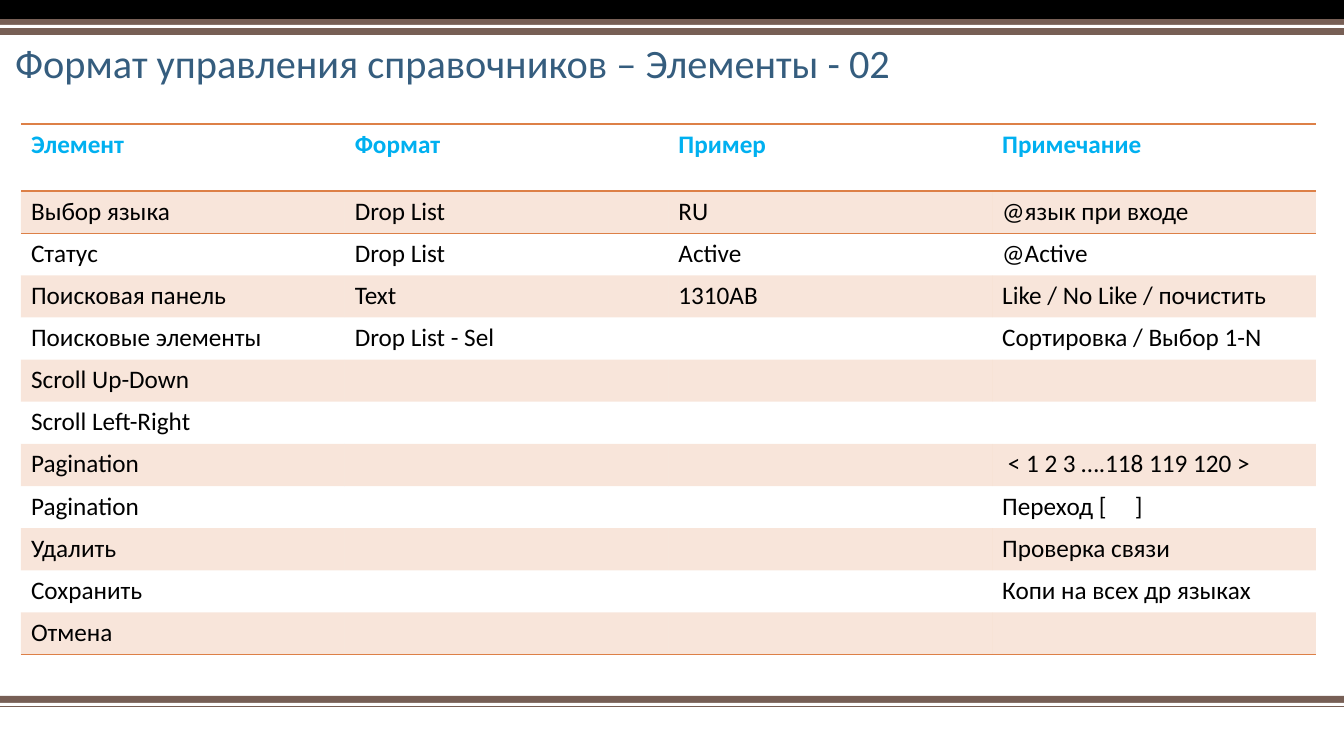
from dataclasses import dataclass
from lxml.etree import SubElement
from pptx import Presentation
from pptx.dml.color import RGBColor
from pptx.enum.shapes import MSO_SHAPE
from pptx.enum.text import MSO_ANCHOR, MSO_AUTO_SIZE, PP_ALIGN
from pptx.oxml import parse_xml
from pptx.oxml.ns import nsdecls, qn
from pptx.util import Pt

SCALE = 914400 / 100.8
WIDE, HIGH = 1344, 756


@dataclass(frozen=True)
class Theme:
    font: str = "Calibri"
    title: str = "355D7E"
    head: str = "00B0F0"
    text: str = "000000"
    accent: str = "DD8047"
    brown: str = "775F55"
    black: str = "000000"
    white: str = "FFFFFF"
    title_size: float = 28.8
    cell_size: float = 18
    tint: int = 20
    plain: str = "{2D5ABB26-0587-4C30-8999-92F81FD0307C}"


THEME = Theme()

ROWS = [
    ("Элемент", "Формат", "Пример", "Примечание"),
    ("Выбор языка", "Drop List", "RU", "@язык при входе"),
    ("Статус", "Drop List", "Active", "@Active"),
    ("Поисковая панель", "Text", "1310AB", "Like / No Like / почистить"),
    ("Поисковые элементы", "Drop List - Sel", "", "Сортировка / Выбор 1-N"),
    ("Scroll Up-Down", "", "", ""),
    ("Scroll Left-Right", "", "", ""),
    ("Pagination", "", "", " < 1 2 3 ….118 119 120 >"),
    ("Pagination", "", "", "Переход [     ]"),
    ("Удалить", "", "", "Проверка связи"),
    ("Сохранить", "", "", "Копи на всех др языках"),
    ("Отмена", "", "", ""),
]


def px(size):
    return round(size * SCALE)


def style(para, size, color, bold=False):
    font = para.font
    font.name, font.size, font.bold = THEME.font, Pt(size), bold
    font.color.rgb = RGBColor.from_string(color)


def add_bands(slide, box, bands):
    """Stack full-width stripes, each given as offset, height and colour."""
    left, top, width = box
    for down, height, color in bands:
        band = slide.shapes.add_shape(
            MSO_SHAPE.RECTANGLE, px(left), px(top + down), px(width), px(height))
        band.shadow.inherit = False
        band.fill.solid()
        band.fill.fore_color.rgb = RGBColor.from_string(color)
        band.line.fill.background()


def add_title(slide, box, text):
    title = slide.shapes.title
    title.left, title.top, title.width, title.height = map(px, box)
    frame = title.text_frame
    frame.text = text
    frame.word_wrap = True
    frame.auto_size = MSO_AUTO_SIZE.NONE
    frame.vertical_anchor = MSO_ANCHOR.BOTTOM
    para = frame.paragraphs[0]
    para.alignment = PP_ALIGN.LEFT
    para.line_spacing = 0.9
    style(para, THEME.title_size, THEME.title)


def add_rule(cell, side):
    """Draw one cell border; borders come before the fill."""
    line = parse_xml(
        f'<a:{side} {nsdecls("a")} w="{Pt(1)}"><a:solidFill>'
        f'<a:srgbClr val="{THEME.accent}"/></a:solidFill></a:{side}>')
    cell._tc.get_or_add_tcPr().insert(0, line)


def tint_cell(cell):
    cell.fill.solid()
    cell.fill.fore_color.rgb = RGBColor.from_string(THEME.accent)
    color = cell._tc.tcPr.find(".//" + qn("a:srgbClr"))
    SubElement(color, qn("a:alpha"), val=str(THEME.tint * 1000))


def add_grid(slide, box, head, rows):
    left, top, width, height = box
    table = slide.shapes.add_table(
        len(rows), len(rows[0]), px(left), px(top), px(width), px(height)).table
    table.first_row = table.horz_banding = False
    table._tbl.tblPr.find(qn("a:tableStyleId")).text = THEME.plain

    # Even columns, and even rows below the header
    for col in table.columns:
        col.width = px(width / len(rows[0]))
    for i, row in enumerate(table.rows):
        row.height = px((height - head) / (len(rows) - 1) if i else head)

    # Text, banding and rules
    for i, row in enumerate(rows):
        for j, text in enumerate(row):
            cell = table.cell(i, j)
            cell.text = text
            color = THEME.text if i else THEME.head
            style(cell.text_frame.paragraphs[0], THEME.cell_size, color, i == 0)
            if i % 2:
                tint_cell(cell)
            else:
                cell.fill.background()
            if i in (0, len(rows) - 1):
                add_rule(cell, "lnB")
            if i < 2:
                add_rule(cell, "lnT")


def main():
    deck = Presentation()
    deck.slide_width, deck.slide_height = px(WIDE), px(HIGH)
    slide = deck.slides.add_slide(deck.slide_layouts[5])

    # Top and bottom stripes
    add_bands(slide, (0, 0, WIDE), [
        (0, 19, THEME.black), (19, 16, THEME.brown), (25, 3, THEME.white)])
    add_bands(slide, (0, 696, WIDE), [
        (0, 11, THEME.brown), (7, 3, THEME.white)])

    # Title and table
    add_title(slide, (5, 36, 1170, 56),
              "Формат управления справочников – Элементы - 02")
    add_grid(slide, (21, 124, 1295, 531), 67, ROWS)
    deck.save("out.pptx")


if __name__ == "__main__":
    main()
